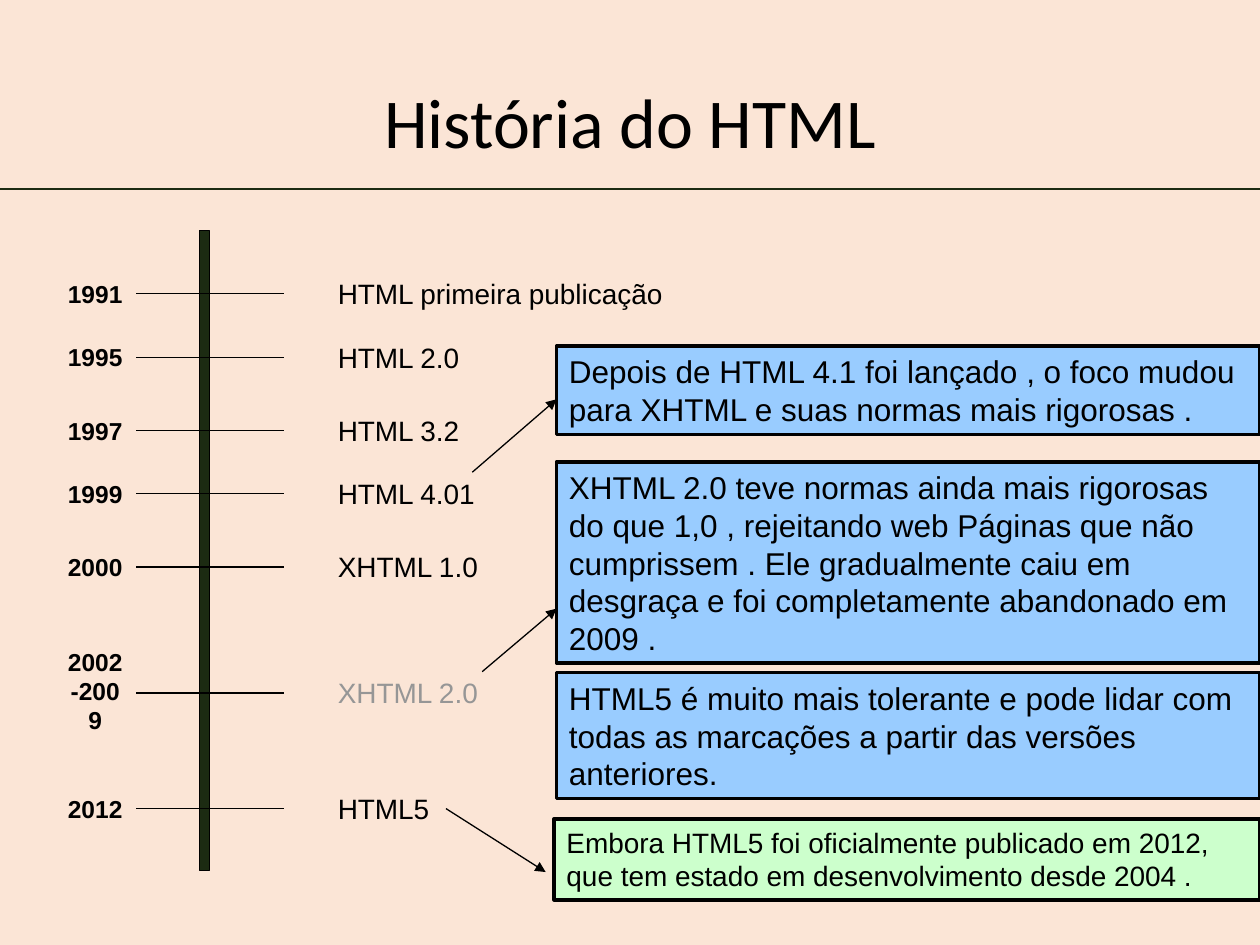
from lxml import etree
from pptx import Presentation
from pptx.dml.color import RGBColor
from pptx.enum.shapes import MSO_CONNECTOR, MSO_SHAPE
from pptx.enum.text import MSO_ANCHOR, MSO_AUTO_SIZE, PP_ALIGN
from pptx.oxml.ns import qn
from pptx.util import Cm, Pt

RECTANGLE = MSO_SHAPE.RECTANGLE
STRAIGHT = MSO_CONNECTOR.STRAIGHT
MIDDLE, TOP = MSO_ANCHOR.MIDDLE, MSO_ANCHOR.TOP
LEFT, CENTER = PP_ALIGN.LEFT, PP_ALIGN.CENTER
GROW = MSO_AUTO_SIZE.SHAPE_TO_FIT_TEXT

TITLE_FONT = {"name": "Calibri", "size": Pt(40)}
YEAR_FONT = {"name": "Arial", "size": Pt(14), "bold": True}
LABEL_FONT = {"name": "Arial", "size": Pt(16)}
NOTE_FONT = {"name": "Arial", "size": Pt(18)}

BLACK, GREEN, GREY = "000000", "1C2B12", "969696"
BLUE_NOTE, GREEN_NOTE = "99CCFF", "CCFFCC"
TITLE_BOX = (1.27, 1.27, 22.86, 2.54)
TIMELINE_BOX = (1.07, 4.65, 13.3, 12.9)
NOTES_BOX = (11.22, 6.98, 14.18, 11.16)

MILESTONES = [
    (1.27, "1991", "HTML primeira publicação", BLACK),
    (2.55, "1995", "HTML 2.0", BLACK),
    (4.03, "1997", "HTML 3.2", BLACK),
    (5.3, "1999", "HTML 4.01", BLACK),
    (6.78, "2000", "XHTML 1.0", BLACK),
    (9.32, "2002 -2009", "XHTML 2.0", GREY),
    (11.65, "2012", "HTML5", BLACK),
]
NOTES = [
    (0, 0, 1.78, BLUE_NOTE, NOTE_FONT,
     "Depois de HTML 4.1 foi lançado , o foco mudou para XHTML e suas normas mais rigorosas ."),
    (0, 2.33, 4.06, BLUE_NOTE, NOTE_FONT,
     "XHTML 2.0 teve normas ainda mais rigorosas do que 1,0 , rejeitando web Páginas que não "
     "cumprissem . Ele gradualmente caiu em desgraça e foi completamente abandonado em 2009 ."),
    (0, 6.58, 2.54, BLUE_NOTE, NOTE_FONT,
     "HTML5 é muito mais tolerante e pode lidar com todas as marcações a partir das versões anteriores."),
    (-0.05, 9.53, 1.63, GREEN_NOTE, LABEL_FONT,
     "Embora HTML5 foi oficialmente publicado em 2012, que tem estado em desenvolvimento desde 2004 ."),
]
ARROWS = [
    (-1.7, 2.54, 0, 1.07),
    (-1.5, 6.56, 0, 5.29),
    (-2.23, 9.32, -0.22, 10.6),
]


def colour(value):
    return RGBColor.from_string(value)


def write(shape, text, font, hue=BLACK, align=LEFT, anchor=TOP):
    frame = shape.text_frame
    frame.word_wrap = True
    frame.vertical_anchor = anchor
    para = frame.paragraphs[0]
    para.alignment = align
    span = para.add_run()
    span.text = text
    for name, value in font.items():
        setattr(span.font, name, value)
    span.font.color.rgb = colour(hue)
    return para


def add_text(page, box, text, font, **layout):
    shape = page.shapes.add_textbox(*map(Cm, box))
    write(shape, text, font, **layout)


def add_block(page, box, fill, weight):
    block = page.shapes.add_shape(RECTANGLE, *map(Cm, box))
    block.shadow.inherit = False
    block.fill.solid()
    block.fill.fore_color.rgb = colour(fill)
    block.line.color.rgb = colour(BLACK)
    block.line.width = Pt(weight)
    return block


def add_line(page, ends, hue=BLACK, weight=0.75, arrow=False):
    line = page.shapes.add_connector(STRAIGHT, *map(Cm, ends))
    line.line.color.rgb = colour(hue)
    line.line.width = Pt(weight)
    if arrow:
        etree.SubElement(line.line._get_or_add_ln(), qn("a:tailEnd"), type="triangle")
    etree.SubElement(line._element.spPr, qn("a:effectLst"))


def add_heading(page, box):
    title = page.shapes.title
    for name, value in zip(("left", "top", "width", "height"), box):
        setattr(title, name, Cm(value))
    para = write(title, "História do HTML", TITLE_FONT, align=CENTER, anchor=MIDDLE)
    para.line_spacing = 0.9
    left, top, width, height = box
    add_line(page, (0, top + height, 25.4, top + height), GREEN, 1.25)


def add_timeline(page, box):
    left, top, width, height = box
    add_block(page, (left + 2.95, top, 0.2, height), GREEN, 0.75)
    for offset, year, label, hue in MILESTONES:
        y = top + offset
        rise = 1.06 if "-" in year else 0.42
        add_line(page, (left + 1.68, y, left + 4.65, y))
        add_text(page, (left, y - rise, 1.7, 0.64), year, YEAR_FONT, align=CENTER)
        add_text(page, (left + 5.49, y - 0.64, width - 5.49, 1.27), label, LABEL_FONT,
                 hue=hue, anchor=MIDDLE)


def add_notes(page, box):
    left, top, width, _ = box
    for shift, offset, height, fill, font, text in NOTES:
        note = add_block(page, (left + shift, top + offset, width - shift, height), fill, 2)
        write(note, text, font)
        note.text_frame.auto_size = GROW
    for x1, y1, x2, y2 in ARROWS:
        add_line(page, (left + x1, top + y1, left + x2, top + y2), arrow=True)


def main():
    deck = Presentation()
    deck.slide_width, deck.slide_height = Cm(25.4), Cm(19.05)
    page = deck.slides.add_slide(deck.slide_layouts[5])
    page.background.fill.solid()
    page.background.fill.fore_color.rgb = colour("FBE5D6")
    add_heading(page, TITLE_BOX)
    add_timeline(page, TIMELINE_BOX)
    add_notes(page, NOTES_BOX)
    deck.save("out.pptx")


if __name__ == "__main__":
    main()
